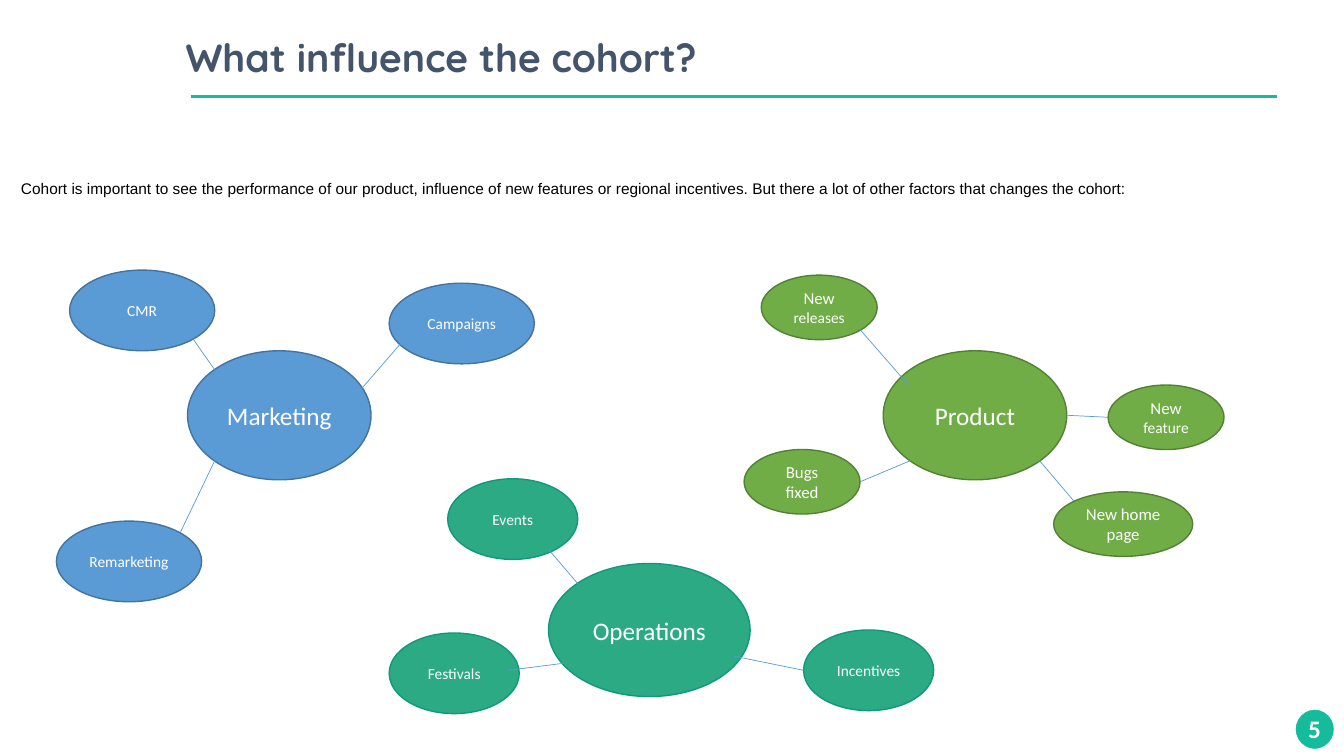
from pptx import Presentation
from pptx import util as u
from pptx.dml.color import RGBColor
from pptx.enum import shapes, text
from pptx.oxml.ns import qn
from lxml import etree

PX = 9144  # EMU per px, 100 px to the inch
WHITE, TEAL, LINK = "FFFFFF", "14BC9C", "5B9BD5"


def rgb(value):
    return RGBColor.from_string(value)


class Deck:
    font = "Calibri"

    def __init__(self, width, height):
        self.prs = Presentation()
        self.prs.slide_width, self.prs.slide_height = width * PX, height * PX
        self.slide = self.prs.slides.add_slide(self.prs.slide_layouts[5])

    def set_text(self, sp, runs, color, align, anchor, font=None, bold=False):
        """Fill one paragraph from (text, size) pairs."""
        tf = sp.text_frame
        tf.word_wrap = True
        tf.auto_size = text.MSO_AUTO_SIZE.NONE
        tf.vertical_anchor = anchor
        p = tf.paragraphs[0]
        p.alignment = align
        p.font.name = font or self.font
        p.font.bold = bold
        p.font.color.rgb = rgb(color)
        sizes = {size for _, size in runs}
        if len(sizes) == 1:
            p.font.size = u.Pt(sizes.pop())
        for words, size in runs:
            r = p.add_run()
            r.text = words
            if p.font.size is None:
                r.font.size = u.Pt(size)

    def title(self, words, box, size, color, font):
        sp = self.slide.shapes.title
        sp.left, sp.top, sp.width, sp.height = [v * PX for v in box]
        self.set_text(sp, [(words, size)], color, text.PP_ALIGN.LEFT,
                      text.MSO_ANCHOR.TOP, font, True)

    def label(self, words, box, size, color, align=text.PP_ALIGN.LEFT,
              anchor=text.MSO_ANCHOR.TOP, font=None, bold=False):
        sp = self.slide.shapes.add_textbox(*[v * PX for v in box])
        self.set_text(sp, [(words, size)], color, align, anchor, font, bold)

    def oval(self, box, fill, line, weight=1, runs=()):
        sp = self.slide.shapes.add_shape(
            shapes.MSO_SHAPE.OVAL, *[v * PX for v in box])
        sp.shadow.inherit = False
        sp.fill.solid()
        sp.fill.fore_color.rgb = rgb(fill)
        sp.line.color.rgb = rgb(line)
        sp.line.width = u.Pt(weight)
        if runs:
            self.set_text(sp, runs, WHITE, text.PP_ALIGN.CENTER,
                          text.MSO_ANCHOR.MIDDLE)

    def line(self, ends, color, weight):
        sp = self.slide.shapes.add_connector(
            shapes.MSO_CONNECTOR.STRAIGHT, *[v * PX for v in ends])
        sp.line.color.rgb = rgb(color)
        sp.line.width = u.Pt(weight)
        etree.SubElement(sp._element.spPr, qn("a:effectLst"))


# Each cluster: hub, hub box, fill, outline, factor height, factors;
# each factor: text runs, (left, top, width), link to the hub
CLUSTERS = [
    ("Marketing", (186, 348, 182, 128), "5B9BD5", "43739E", 80, [
        ([("CMR", 11)], (69, 268, 144), (192, 337, 213, 367)),
        ([("Campaigns", 11)], (386, 281, 144), (399, 339, 354, 391)),
        ([("Remarketing", 11)], (56, 517, 144), (213, 457, 179, 528)),
    ]),
    ("Product", (876, 348, 182, 128), "70AD47", "538035", 64, [
        ([("New ", 12), ("releases", 11)], (755, 273, 115),
         (901, 382, 853, 327)),
        ([("New ", 12), ("feature", 11)], (1099, 382, 115),
         (1058, 412, 1099, 414)),
        ([("Bugs fixed", 12)], (738, 446, 115), (853, 478, 903, 457)),
        ([("New home page", 12)], (1045, 488, 138), (1031, 457, 1065, 497)),
    ]),
    ("Operations", (544, 559, 200, 132), "2CAA83", "10987E", 80, [
        ([("Events", 11)], (444, 475, 129), (573, 579, 544, 545)),
        ([("Festivals", 11)], (386, 628, 129), (559, 658, 504, 665)),
        ([("Incentives", 11)], (797, 625, 129), (728, 651, 797, 665)),
    ]),
]


def main():
    deck = Deck(1333, 750)

    # Heading, rule and introduction
    deck.title("What influence the cohort?", (174, 28, 892, 57), 28,
               "44546A", "Quicksand")
    deck.line((189, 96, 1267, 96), TEAL, 2.5)
    deck.label("Cohort is important to see the performance of our product, "
               "influence of new features or regional incentives. But there "
               "a lot of other factors that changes the cohort:",
               (11, 173, 1307, 29), 11, "000000", font="Arial")

    # Hubs with their factors
    for hub, box, fill, outline, height, factors in CLUSTERS:
        deck.oval(box, fill, outline, runs=[(hub, 18)])
        for runs, place, link in factors:
            deck.oval((*place, height), fill, outline, runs=runs)
            deck.line(link, LINK, 0.5)

    # Page number
    deck.oval((1284, 703, 40, 41), TEAL, WHITE, 1.5)
    deck.label("5", (1020, 703, 300, 40), 18, WHITE, text.PP_ALIGN.RIGHT,
               text.MSO_ANCHOR.MIDDLE, bold=True)

    deck.prs.save("out.pptx")


if __name__ == "__main__":
    main()
